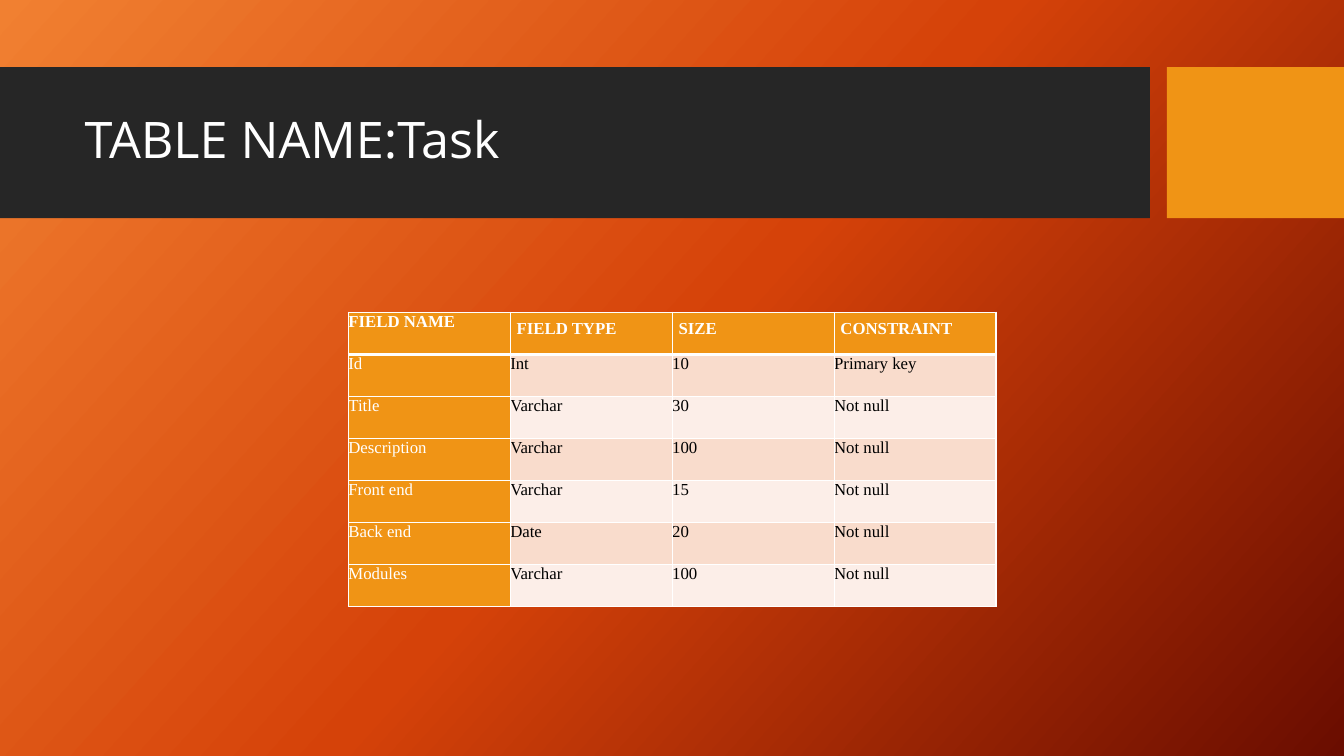
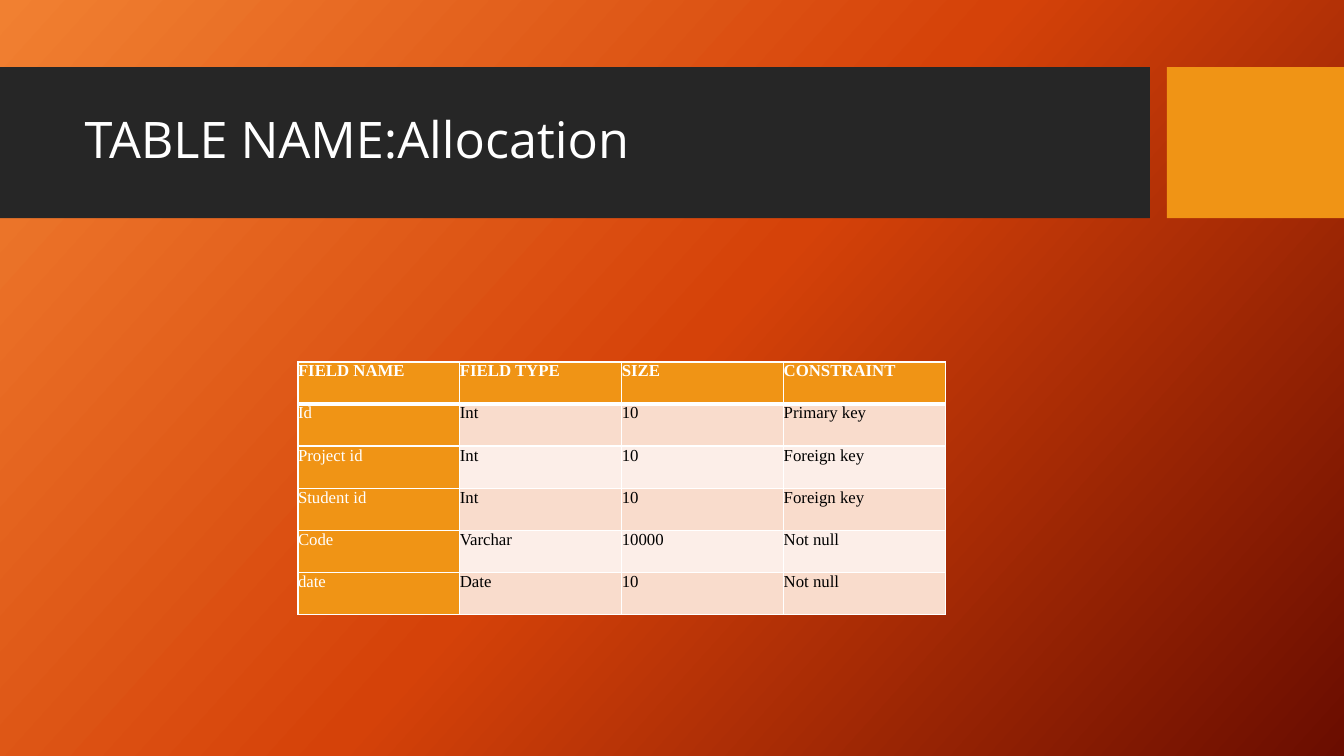
from copy import deepcopy

from lxml.etree import SubElement
from pptx import Presentation
from pptx.dml.color import RGBColor
from pptx.enum.shapes import MSO_SHAPE
from pptx.enum.text import MSO_ANCHOR, MSO_AUTO_SIZE, PP_ALIGN
from pptx.oxml import parse_xml
from pptx.oxml.ns import nsdecls, qn
from pptx.util import Cm, Pt

WHITE, BLACK, DARK, ORANGE = "FFFFFF", "000000", "262626", "F09415"
STRIPES = ("FCEEE8", "F9DCCC")
BACKGROUND = ((0, "F18031"), (0.5, "D54209"), (1, "6A0D00"))
WIDTH, HEIGHT = 33.87, 19.05
COL_WIDTH, ROW_HEIGHT = 4.08, 1.06
HEADER = ("FIELD NAME", "FIELD TYPE", "SIZE", "CONSTRAINT")

TASK = (
    ("Id", "Int", "10", "Primary key"),
    ("Title", "Varchar", "30", "Not null"),
    ("Description", "Varchar", "100", "Not null"),
    ("Front end", "Varchar", "15", "Not null"),
    ("Back end", "Date", "20", "Not null"),
    ("Modules", "Varchar", "100", "Not null"),
)
ALLOCATION = (
    ("Id", "Int", "10", "Primary key"),
    ("Project id", "Int", "10", "Foreign key"),
    ("Student id", "Int", "10", "Foreign key"),
    ("Code", "Varchar", "10000", "Not null"),
    ("date", "Date", "10", "Not null"),
)


def rgb(value):
    """Turn a hex string into a colour."""
    return RGBColor.from_string(value)


def write(tf, text, font="Times New Roman", size=12, color=BLACK, bold=False, spacing=1.0):
    """Write one left-aligned paragraph into a text frame."""
    p = tf.paragraphs[0]
    p.alignment = PP_ALIGN.LEFT
    p.line_spacing = spacing
    r = p.add_run()
    r.text = text
    r.font.name = font
    r.font.size = Pt(size)
    r.font.bold = bold
    r.font.color.rgb = rgb(color)


def paint_background(layout):
    """Give the layout its three-colour diagonal gradient."""
    fill = layout.background.fill
    fill.gradient()
    fill.gradient_angle = 318
    stops = layout.element.xpath(".//p:bg//a:gsLst")[0]
    stops.append(deepcopy(stops[0]))
    for stop, (position, color) in zip(fill.gradient_stops, BACKGROUND):
        stop.position = position
        stop.color.rgb = rgb(color)


def add_band(s, left, top, width, height, color):
    """Place a plain rectangle behind the title."""
    band = s.shapes.add_shape(MSO_SHAPE.RECTANGLE, Cm(left), Cm(top), Cm(width), Cm(height))
    band.shadow.inherit = False
    band.fill.solid()
    band.fill.fore_color.rgb = rgb(color)
    band.line.fill.background()
    s.shapes.title.element.addprevious(band.element)


def add_heading(s, text, top=1.69, height=3.81):
    """Place the title on its dark band with the orange block at the right."""
    block_width = 4.46
    block_left = WIDTH - block_width
    add_band(s, 0, top, block_left - 0.43, height, DARK)
    add_band(s, block_left, top, block_width, height, ORANGE)
    title = s.shapes.title
    title.left, title.top = Cm(1.88), Cm(top + 0.39)
    title.width, title.height = Cm(26.7), Cm(3)
    tf = title.text_frame
    tf.word_wrap = True
    tf.auto_size = MSO_AUTO_SIZE.NONE
    tf.vertical_anchor = MSO_ANCHOR.MIDDLE
    write(tf, text, font="Open Sans", size=36, color=WHITE, spacing=0.9)


def add_borders(tc, top, bottom):
    """Draw white cell borders, with the given top and bottom widths."""
    widths = {"lnL": 1, "lnR": 1, "lnT": top, "lnB": bottom}
    for i, (side, width) in enumerate(widths.items()):
        ln = parse_xml(f'<a:{side} {nsdecls("a")} w="{Pt(width)}"/>')
        SubElement(SubElement(ln, qn("a:solidFill")), qn("a:srgbClr"), val=WHITE)
        tc.get_or_add_tcPr().insert(i, ln)


def add_field_table(s, left, top, rows, indent=(0, 0)):
    """Place a field table; indent is the left and top inset of later headers."""
    rows = (HEADER, *rows)
    n_rows, n_cols = len(rows), len(HEADER)
    frame = s.shapes.add_table(n_rows, n_cols, Cm(left), Cm(top),
                               Cm(COL_WIDTH * n_cols), Cm(ROW_HEIGHT * n_rows))
    table = frame.table
    for column in table.columns:
        column.width = Cm(COL_WIDTH)
    for row in table.rows:
        row.height = Cm(ROW_HEIGHT)
    for i, (cell, tc) in enumerate(zip(table.iter_cells(), frame.element.xpath(".//a:tc"))):
        row, col = divmod(i, n_cols)
        header = row == 0
        accent = header or col == 0
        inset_left, inset_top = indent if header and col else (0, 0)
        cell.margin_left, cell.margin_top = Cm(inset_left), Cm(inset_top)
        cell.margin_right = cell.margin_bottom = 0
        cell.fill.solid()
        cell.fill.fore_color.rgb = rgb(ORANGE if accent else STRIPES[row % 2])
        add_borders(tc, top=3 if row == 1 else 1, bottom=3 if header else 1)
        write(cell.text_frame, rows[row][col], color=WHITE if accent else BLACK, bold=header)


def add_table_slide(prs, layout, name, left, top, rows, **options):
    """Add a slide that describes one database table."""
    s = prs.slides.add_slide(layout)
    add_heading(s, f"TABLE NAME:{name}")
    add_field_table(s, left, top, rows, **options)


def main():
    """Build and save the presentation."""
    prs = Presentation()
    prs.slide_width, prs.slide_height = Cm(WIDTH), Cm(HEIGHT)
    layout = prs.slide_layouts.get_by_name("Title Only")
    paint_background(layout)
    add_table_slide(prs, layout, "Task", 8.78, 7.87, TASK, indent=(0.16, 0.19))
    add_table_slide(prs, layout, "Allocation", 7.51, 9.12, ALLOCATION)
    prs.save("out.pptx")


main()
